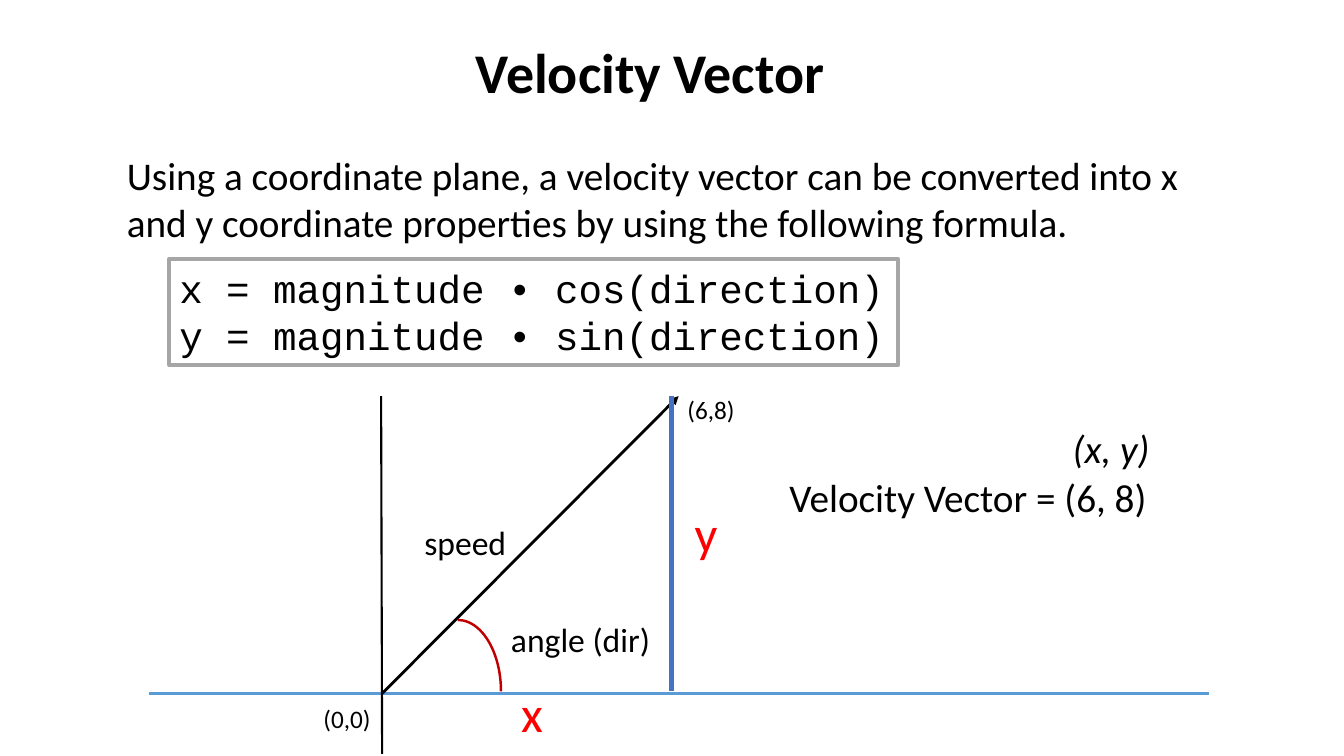
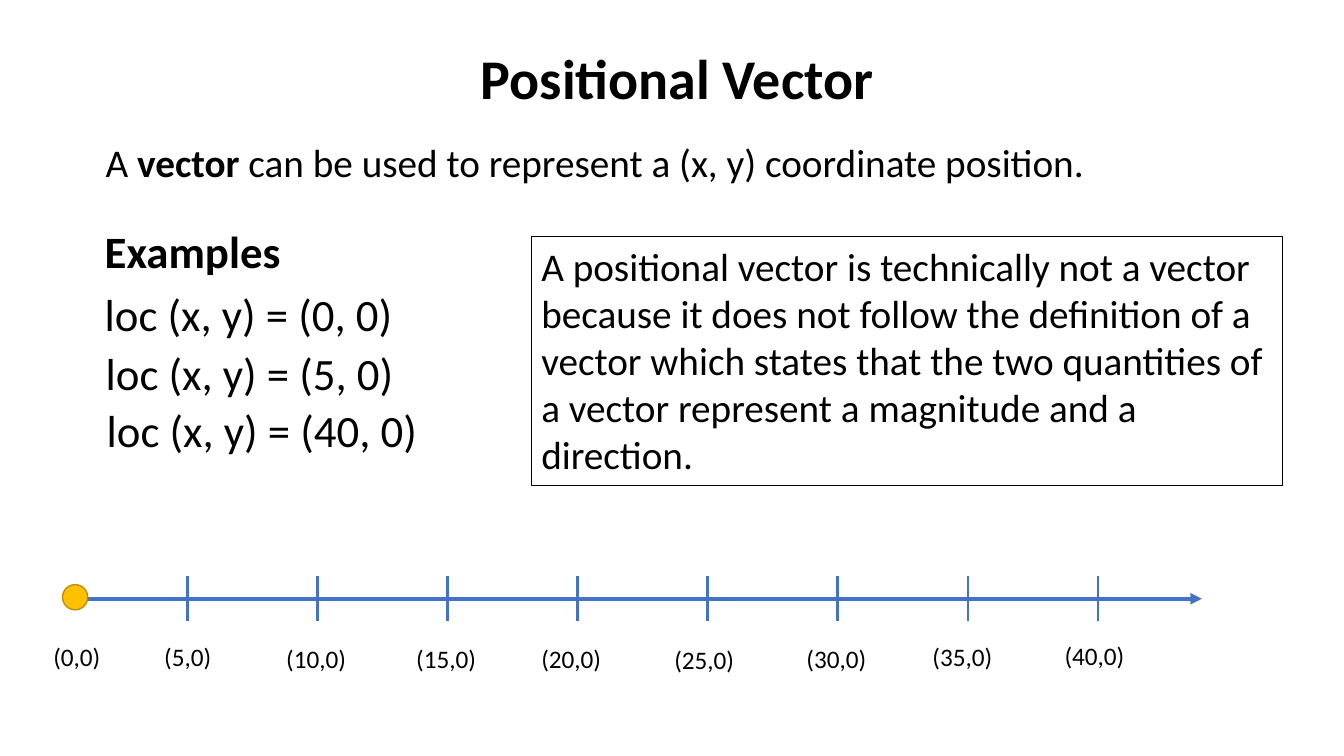
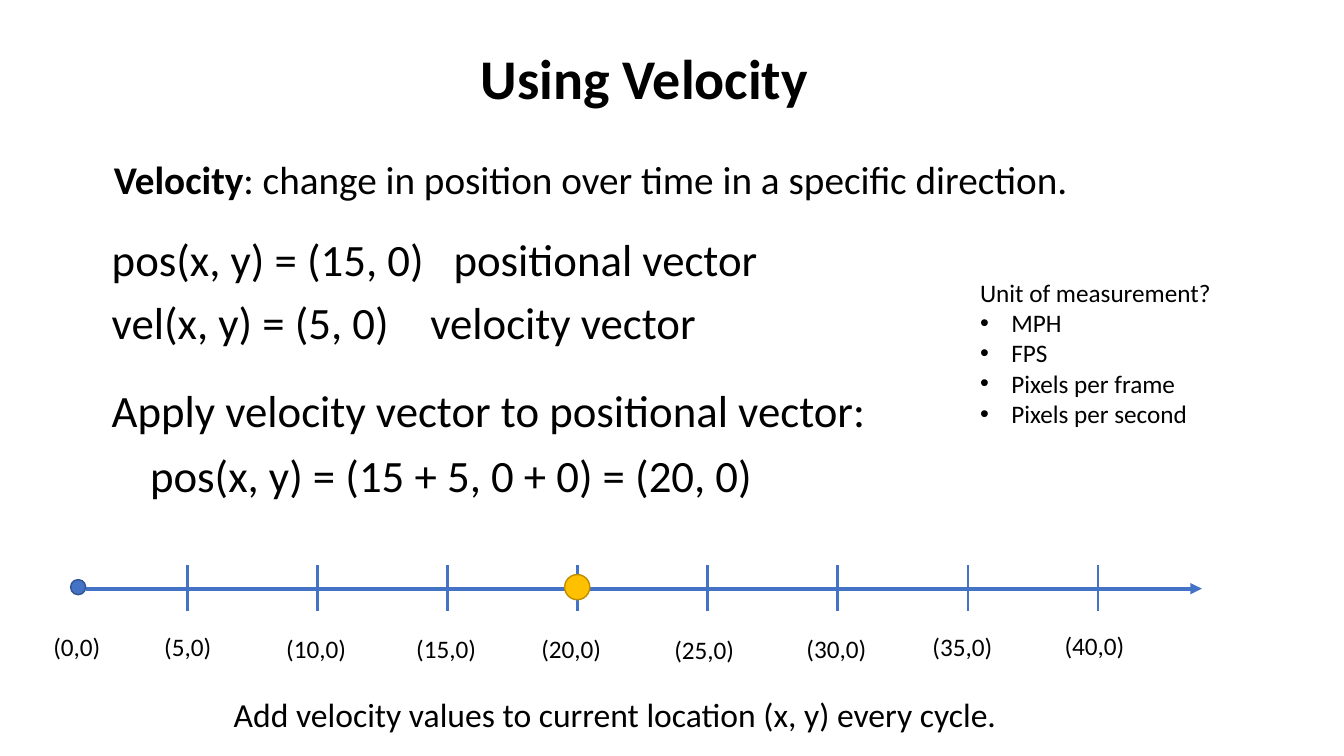
from dataclasses import dataclass
from typing import NamedTuple

from lxml.etree import SubElement
from pptx import Presentation
from pptx.dml.color import RGBColor
from pptx.enum.shapes import MSO_CONNECTOR, MSO_SHAPE
from pptx.enum.text import MSO_ANCHOR, MSO_AUTO_SIZE, PP_ALIGN
from pptx.oxml.ns import qn
from pptx.shapes.base import BaseShape
from pptx.slide import Slide
from pptx.util import Inches, Pt


@dataclass(frozen=True)
class Theme:
    font: str = "Calibri"
    code: str = "Courier New"
    ink: str = "000000"
    blue: str = "4472C4"
    navy: str = "325491"
    sky: str = "5B9BD5"
    gold: str = "FFC000"
    bronze: str = "BD8E00"
    gray: str = "A6A6A6"
    red: str = "FF0000"
    wine: str = "C00000"
    title: int = 40
    sign: int = 36
    lead: int = 32
    text: int = 28
    label: int = 24
    small: int = 18


T = Theme()


class Note(NamedTuple):
    text: str
    left: float
    top: float
    width: float
    size: int = T.text
    bold: str = ""
    color: str = T.ink
    font: str = T.font
    slant: bool = False
    rows: int = 1
    wrap: bool = False
    edge: str = ""
    weight: float = 0
    tab: float = 0


class Line(NamedTuple):
    left: float
    top: float
    right: float
    low: float
    color: str
    weight: float
    arrow: bool = False


class Dot(NamedTuple):
    left: float
    top: float
    size: float
    fill: str
    edge: str


class Mark(NamedTuple):
    left: float
    drop: float
    width: float


MARKS = [
    Mark(0.43, 0.37, 0.69), Mark(1.53, 0.37, 0.69), Mark(2.74, 0.39, 0.84),
    Mark(4.03, 0.39, 0.83), Mark(5.27, 0.39, 0.91), Mark(6.59, 0.4, 0.86),
    Mark(7.9, 0.39, 0.83), Mark(9.15, 0.37, 0.93), Mark(10.46, 0.36, 0.85),
]


def place(shape: BaseShape, left: float, top: float, width: float, height: float) -> None:
    shape.left, shape.top = Inches(left), Inches(top)
    shape.width, shape.height = Inches(width), Inches(height)


def fill_text(shape: BaseShape, note: Note) -> None:
    frame = shape.text_frame
    frame.word_wrap = note.wrap
    frame.auto_size = MSO_AUTO_SIZE.NONE
    frame.vertical_anchor = MSO_ANCHOR.TOP
    frame.text = note.text
    for para in frame.paragraphs:
        para.alignment = PP_ALIGN.LEFT
        para.space_before = Pt(0)
        if note.bold:
            parts = para.text.partition(note.bold)
            para.text = ""
            for part in filter(None, parts):
                run = para.add_run()
                run.text = part
                run.font.bold = part == note.bold
        for run in para.runs:
            run.font.name = note.font
            run.font.size = Pt(note.size)
            run.font.italic = note.slant
            run.font.color.rgb = RGBColor.from_string(note.color)
        if note.tab:
            tabs = SubElement(para._p.get_or_add_pPr(), qn("a:tabLst"))
            SubElement(tabs, qn("a:tab"), pos=str(Inches(note.tab)), algn="l")


def draw_note(slide: Slide, note: Note) -> None:
    box = slide.shapes.add_textbox(0, 0, 0, 0)
    place(box, note.left, note.top, note.width,
          round(note.rows * note.size * 1.22 / 72 + 0.1, 2))
    fill_text(box, note)
    if note.edge:
        box.line.color.rgb = RGBColor.from_string(note.edge)
        box.line.width = Pt(note.weight)


def draw_line(slide: Slide, line: Line) -> None:
    link = slide.shapes.add_connector(
        MSO_CONNECTOR.STRAIGHT, Inches(line.left), Inches(line.top),
        Inches(line.right), Inches(line.low))
    link.line.color.rgb = RGBColor.from_string(line.color)
    link.line.width = Pt(line.weight)
    if line.arrow:
        SubElement(link.line._get_or_add_ln(), qn("a:tailEnd"), type="triangle")
    SubElement(link._element.spPr, qn("a:effectLst"))


def draw_dot(slide: Slide, dot: Dot) -> None:
    ball = slide.shapes.add_shape(MSO_SHAPE.OVAL, 0, 0, 0, 0)
    place(ball, dot.left, dot.top, dot.size, dot.size)
    ball.shadow.inherit = False
    ball.fill.solid()
    ball.fill.fore_color.rgb = RGBColor.from_string(dot.fill)
    ball.line.color.rgb = RGBColor.from_string(dot.edge)
    ball.line.width = Pt(1)


def draw_arc(slide: Slide) -> None:
    arc = slide.shapes.add_shape(MSO_SHAPE.ARC, 0, 0, 0, 0)
    place(arc, 4.11, 6.15, 0.86, 1.42)
    arc.shadow.inherit = False
    arc.fill.background()
    arc.line.color.rgb = RGBColor.from_string(T.wine)
    arc.line.width = Pt(1.75)


def draw_scale(slide: Slide, level: float, spot: float) -> None:
    draw_line(slide, Line(0.85, level, 11.92, level, T.blue, 2.75, True))
    for step, mark in enumerate(MARKS):
        if step:
            tick = 1.86 + 1.29 * (step - 1)
            draw_line(slide, Line(tick, level - 0.23, tick, level + 0.22, T.blue, 2))
        draw_note(slide, Note(f"({5 * step},0)", mark.left, level + mark.drop,
                              mark.width, T.small, wrap=True))
    draw_dot(slide, Dot(0.7, level - 0.09, 0.15, T.blue, T.navy))
    draw_dot(slide, Dot(spot, level - 0.14, 0.25, T.gold, T.bronze))


def draw_list(slide: Slide) -> None:
    body = slide.placeholders[1]
    place(body, 9.62, 2.7, 2.52, 1.62)
    rows = ["Unit of measurement?", "MPH", "FPS", "Pixels per frame", "Pixels per second"]
    fill_text(body, Note("\n".join(rows), 9.62, 2.7, 2.52, T.small, wrap=True))
    for index, para in enumerate(body.text_frame.paragraphs):
        props = para._p.get_or_add_pPr()
        indent = Inches(0.31) if index else 0
        props.set("marL", str(indent))
        props.set("indent", str(-indent))
        if index:
            SubElement(props, qn("a:buFont"), typeface="Arial")
            SubElement(props, qn("a:buChar"), char="•")
        else:
            SubElement(props, qn("a:buNone"))


def add_slide(layout: int, title: Note, notes: list[Note]) -> Slide:
    slide = deck.slides.add_slide(deck.slide_layouts[layout])
    head = slide.shapes.title
    place(head, title.left, title.top, title.width, 0.77)
    fill_text(head, title)
    for note in notes:
        draw_note(slide, note)
    return slide


def make_title(text: str, left: float = 4.67, top: float = 0.38, width: float = 4.27) -> Note:
    return Note(text, left, top, width, T.title, bold=text, wrap=True)


deck = Presentation()
deck.slide_width, deck.slide_height = Inches(13.33), Inches(7.5)

plane = add_slide(5, make_title("Velocity Vector", 4.62, 0.32, 3.84), [
    Note("Using a coordinate plane, a velocity vector can be converted into x and y "
         "coordinate properties by using the following formula.",
         1.16, 1.45, 11, rows=2, wrap=True),
    Note("speed", 4.11, 5.13, 1.02, T.label),
    Note("angle (dir)", 4.97, 6.09, 1.63, T.label),
    Note("(0,0)", 3.11, 6.93, 0.68, T.small),
    Note("(6,8)", 6.72, 3.86, 0.68, T.small),
    Note("y", 6.79, 4.93, 0.43, T.sign, color=T.red),
    Note("x", 5.07, 6.72, 0.43, T.sign, color=T.red),
    Note("Velocity Vector = (6, 8)", 7.73, 4.65, 3.79),
    Note("(x, y)", 10.54, 4.16, 0.98, slant=True),
    Note("x = magnitude • cos(direction)\ny = magnitude • sin(direction)",
         1.68, 2.57, 7.23, font=T.code, rows=2, wrap=True, edge=T.gray, weight=3),
])
for line in [
    Line(1.48, 6.88, 11.99, 6.88, T.sky, 2),
    Line(3.79, 6.88, 6.73, 3.93, T.ink, 2, True),
    Line(6.66, 3.93, 6.66, 6.86, T.blue, 3),
    Line(3.79, 7.48, 3.78, 3.93, T.ink, 1.5),
]:
    draw_line(plane, line)
draw_arc(plane)

place_slide = add_slide(5, make_title("Positional Vector"), [
    Note("A vector can be used to represent a (x, y) coordinate position.",
         0.95, 1.32, 9.93, bold=" vector "),
    Note("Examples", 0.94, 2.17, 1.96, T.lead, bold="Examples"),
    Note("loc (x, y) = (0, 0)", 0.94, 2.8, 3.09, T.lead),
    Note("loc (x, y) = (5, 0)", 0.95, 3.38, 3.09, T.lead),
    Note("loc (x, y) = (40, 0)", 0.96, 3.95, 3.32, T.lead),
    Note("A positional vector is technically not a vector because it does not follow "
         "the definition of a vector which states that the two quantities of a vector "
         "represent a magnitude and a direction.",
         5.27, 2.35, 7.45, rows=5, wrap=True, edge=T.ink, weight=0.75),
])
draw_scale(place_slide, 5.94, 0.62)

speed = add_slide(1, make_title("Using Velocity"), [
    Note("Velocity: change in position over time in a specific direction.",
         1.03, 1.49, 9.78, bold="Velocity"),
    Note("pos(x, y) = (15, 0)\tpositional vector", 1.01, 2.25, 6.69, T.lead,
         wrap=True, tab=3.39),
    Note("vel(x, y) = (5, 0)\tvelocity vector", 1.01, 2.87, 6.15, T.lead,
         wrap=True, tab=3.16),
    Note("Apply velocity vector to positional vector:", 1.01, 3.75, 7.76, T.lead),
    Note("pos(x, y) = (15 + 5, 0 + 0) = (20, 0)", 1.39, 4.39, 6.24, T.lead),
    Note("Add velocity values to current location (x, y) every cycle.",
         2.22, 6.83, 7.77, T.label),
])
draw_list(speed)
draw_scale(speed, 5.84, 5.6)

deck.save("out.pptx")
